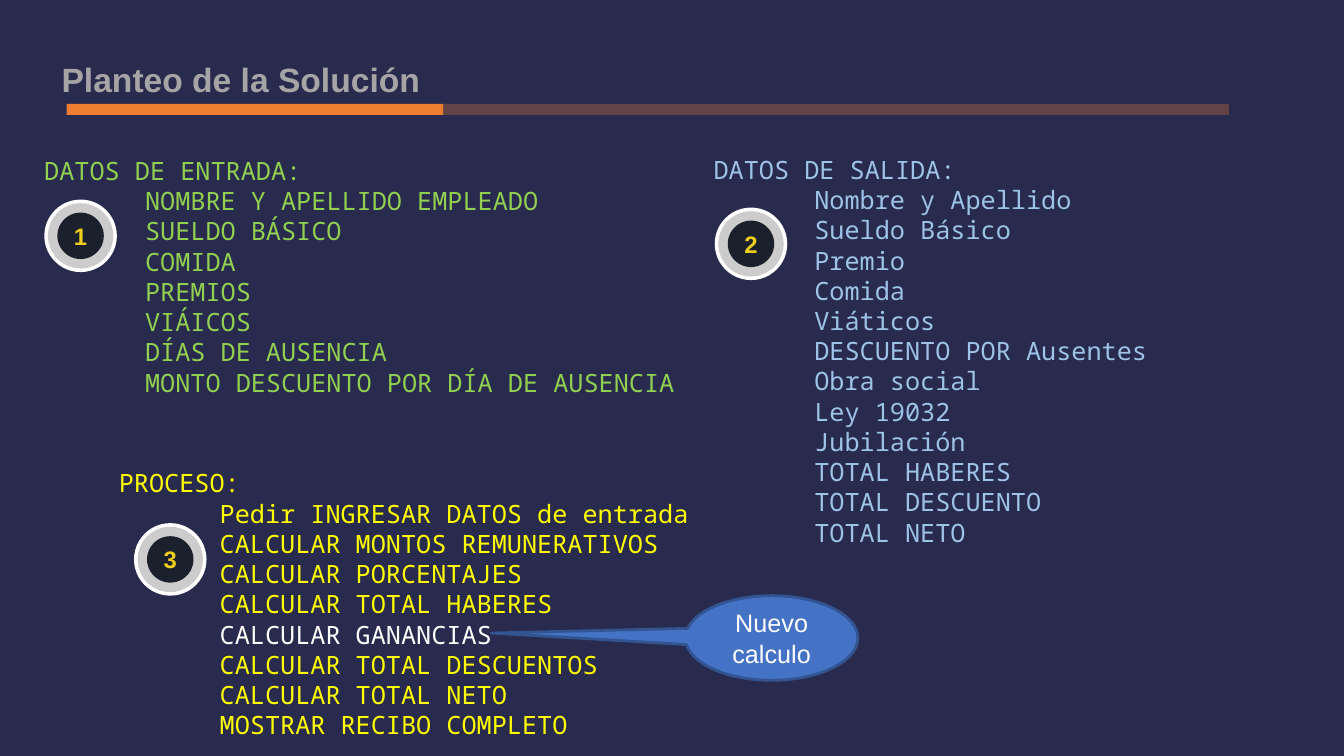
from pptx import Presentation
from pptx.dml.color import RGBColor
from pptx.enum.shapes import MSO_SHAPE
from pptx.enum.text import MSO_ANCHOR, PP_ALIGN
from pptx.oxml.ns import qn
from pptx.util import Inches, Pt
from lxml.etree import SubElement

WIDE, HIGH = Inches(13.33), Inches(7.5)
COL, ROW = WIDE / 100, HIGH / 100
GREEN, BLUE, YELLOW, WHITE = "92D050", "9DC3E6", "FFFF00", "FFFFFF"
ORANGE = "ED7D31"

INPUT = ["DATOS DE ENTRADA:", "NOMBRE Y APELLIDO EMPLEADO", "SUELDO BÁSICO",
         "COMIDA", "PREMIOS", "VIÁICOS", "DÍAS DE AUSENCIA",
         "MONTO DESCUENTO POR DÍA DE AUSENCIA"]
OUTPUT = ["DATOS DE SALIDA:", "Nombre y Apellido", "Sueldo Básico", "Premio",
          "Comida", "Viáticos", "DESCUENTO POR Ausentes", "Obra social",
          "Ley 19032", "Jubilación", "TOTAL HABERES", "TOTAL DESCUENTO",
          "TOTAL NETO"]
FRESH = "CALCULAR GANANCIAS"
STEPS = ["PROCESO:", "Pedir INGRESAR DATOS de entrada",
         "CALCULAR MONTOS REMUNERATIVOS", "CALCULAR PORCENTAJES",
         "CALCULAR TOTAL HABERES", FRESH, "CALCULAR TOTAL DESCUENTOS",
         "CALCULAR TOTAL NETO", "MOSTRAR RECIBO COMPLETO"]


def color(code):
    """Turn a hex string into a colour."""
    return RGBColor.from_string(code)


def grid(left, top, width, height):
    """Turn columns and rows of the slide grid into a box."""
    return [round(n) for n in (left * COL, top * ROW, width * COL, height * ROW)]


def style(para, face, size, code, align, bold=False):
    """Set the font and alignment of a paragraph."""
    para.alignment = align
    font = para.font
    font.name, font.size, font.bold = face, Pt(size), bold
    font.color.rgb = color(code)


def draw(slide, kind, box, fill):
    """Add a flat shape without outline."""
    shape = slide.shapes.add_shape(kind, *box)
    shape.shadow.inherit = False
    shape.fill.solid()
    shape.fill.fore_color.rgb = color(fill)
    shape.line.fill.background()
    return shape


def label(shape, text, size, code, bold=False):
    """Centre a text inside a shape."""
    frame = shape.text_frame
    frame.vertical_anchor = MSO_ANCHOR.MIDDLE
    frame.text = text
    style(frame.paragraphs[0], "Arial", size, code, PP_ALIGN.CENTER, bold)


def head(slide, box):
    """Format the title in its box."""
    title = slide.shapes.title
    title.left, title.top, title.width, title.height = box
    frame = title.text_frame
    frame.text = "Planteo de la Solución"
    frame.vertical_anchor = MSO_ANCHOR.TOP
    style(frame.paragraphs[0], "Arial", 24, "A5A5A5", PP_ALIGN.LEFT, True)


def rule(slide, box):
    """Draw the two-part bar under the title."""
    left, top, width, height = box
    part = round(width * 0.324)
    draw(slide, MSO_SHAPE.RECTANGLE, (left, top, part, height), ORANGE)
    rest = draw(slide, MSO_SHAPE.RECTANGLE,
                (left + part, top, width - part, height), ORANGE)
    tone = rest.fill._xPr.find(qn("a:solidFill"))[0]
    SubElement(tone, qn("a:alpha")).set("val", "30000")


def badge(slide, left, top, mark):
    """Draw a numbered badge of three nested circles."""
    size = 5.4 * COL
    for share, fill in ((1, WHITE), (0.9, "CCCCCC"), (0.64, "1B212C")):
        gap, side = size * (1 - share) / 2, size * share
        box = [round(n) for n in (left + gap, top + gap, side, side)]
        disc = draw(slide, MSO_SHAPE.OVAL, box, fill)
    frame = disc.text_frame
    frame.margin_left = frame.margin_right = 0
    frame.margin_top = frame.margin_bottom = 0
    label(disc, mark, 17, "EECE1A", True)


def block(slide, box, lines, code, mark, shift):
    """Write a heading with indented lines and set its badge beside them."""
    frame = slide.shapes.add_textbox(*box).text_frame
    frame.word_wrap = True
    for i, line in enumerate(lines):
        para = frame.paragraphs[0] if i == 0 else frame.add_paragraph()
        para.text = line
        if i:
            para._p.get_or_add_pPr().set("marL", str(Inches(1)))
        tint = WHITE if line == FRESH else code
        style(para, "Noto Sans Mono", 18, tint, PP_ALIGN.JUSTIFY)
    across, down = shift
    badge(slide, box[0] + across * COL, box[1] + down * ROW, mark)


def callout(slide, box):
    """Draw the balloon that points at the new step."""
    shape = draw(slide, MSO_SHAPE.OVAL_CALLOUT, box, "4472C4")
    shape.adjustments[0], shape.adjustments[1] = -1.625, -0.059
    shape.line.color.rgb = color("325491")
    shape.line.width = Pt(2)
    label(shape, "Nuevo calculo", 18, WHITE)


def main():
    """Build and save the slide."""
    deck = Presentation()
    deck.slide_width, deck.slide_height = WIDE, HIGH
    slide = deck.slides.add_slide(deck.slide_layouts[5])
    back = slide.background.fill
    back.solid()
    back.fore_color.rgb = color("282A4E")
    head(slide, grid(3.83, 7.07, 54.6, 6.67))
    rule(slide, grid(4.95, 13.73, 86.48, 1.47))
    block(slide, grid(2.55, 19.87, 50, 37.73), INPUT, GREEN, "1", (0.75, 6.53))
    block(slide, grid(52.35, 19.73, 50, 57.87), OUTPUT, BLUE, "2", (0.83, 7.73))
    block(slide, grid(8.1, 61.2, 50, 41.73), STEPS, YELLOW, "3", (1.87, 8))
    callout(slide, grid(51, 78.8, 12.83, 11.2))
    deck.save("out.pptx")


if __name__ == "__main__":
    main()
